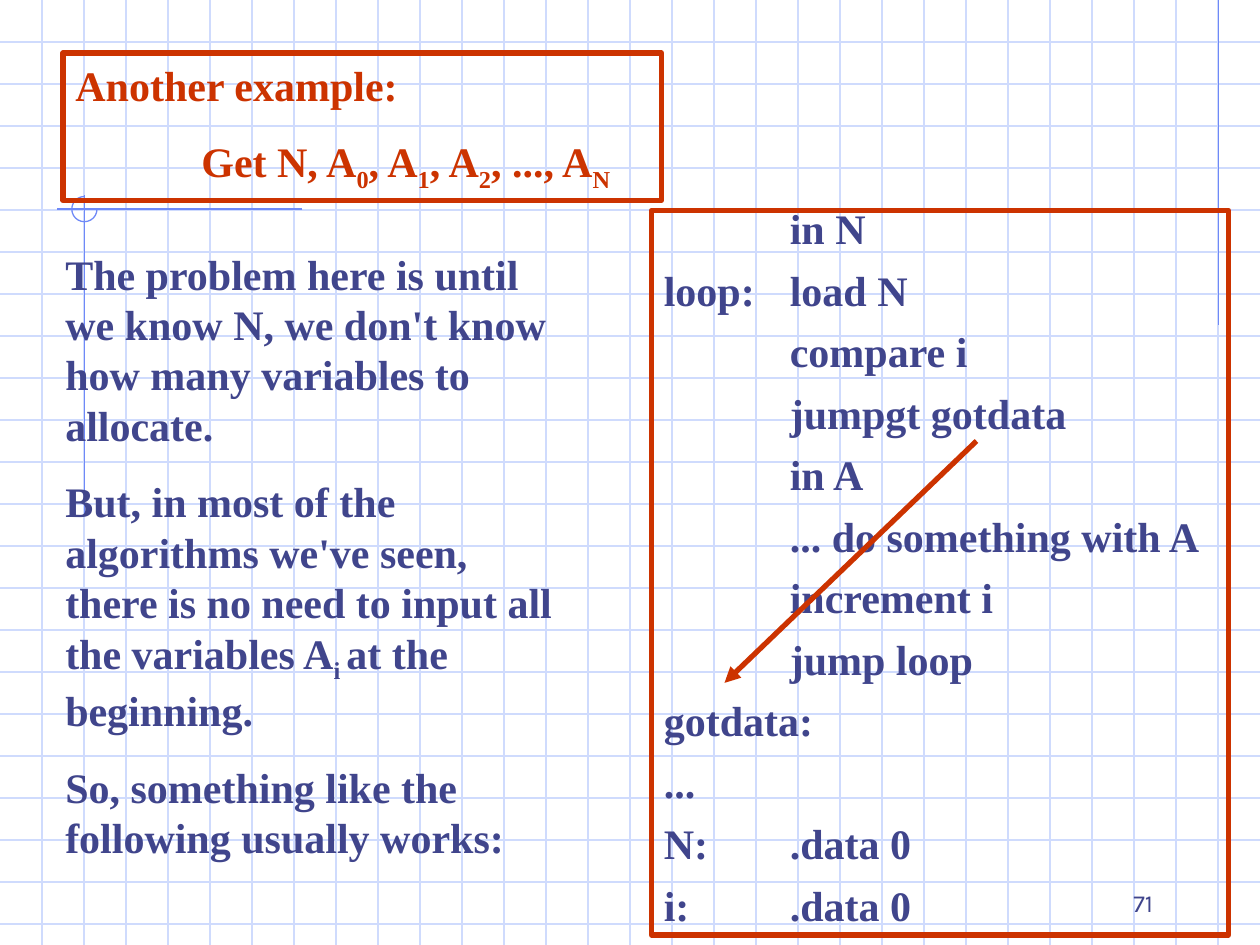
from lxml.etree import SubElement
from pptx import Presentation
from pptx.dml.color import RGBColor
from pptx.enum.shapes import MSO_CONNECTOR, MSO_SHAPE
from pptx.enum.text import MSO_ANCHOR, MSO_AUTO_SIZE, PP_ALIGN
from pptx.oxml.ns import qn
from pptx.util import Inches, Pt

COLORS = {"grid": "CFDBFD", "accent": "6F89F7", "red": "CC3300", "ink": "40458C"}
SERIF = {"name": "Times New Roman", "size": Pt(24), "bold": True}
FRAME = {
    "word_wrap": True,
    "auto_size": MSO_AUTO_SIZE.SHAPE_TO_FIT_TEXT,
    "vertical_anchor": MSO_ANCHOR.TOP,
    "margin_left": Inches(0.1),
    "margin_right": Inches(0.1),
    "margin_top": Inches(0.05),
    "margin_bottom": Inches(0.05),
}
HEADING = [
    ["Another example:"],
    ["\tGet N, A", "0", ", A", "1", ", A", "2", ", ..., A", "N"],
]
EXPLANATION = [
    ["The problem here is until we know N, we don't know how many variables to allocate."],
    ["But, in most of the algorithms we've seen, there is no need to input all the variables A",
     "i ", "at the beginning."],
    ["So, something like the following usually works:"],
]
CODE = [
    "\tin N", "loop:\tload N", "\tcompare i", "\tjumpgt gotdata", "\tin A",
    "\t... do something with A", "\tincrement i", "\tjump loop", "gotdata:",
    "...", "N:\t.data 0", "i:\t.data 0",
]


def rgb(name):
    return RGBColor.from_string(COLORS[name])


def set_all(obj, values):
    for key, value in values.items():
        setattr(obj, key, value)


def add_line(s, x1, y1, x2, y2, color, width=0.75):
    sp = s.shapes.add_connector(
        MSO_CONNECTOR.STRAIGHT, Inches(x1), Inches(y1), Inches(x2), Inches(y2))
    sp.line.color.rgb = rgb(color)
    sp.line.width = Pt(width)
    SubElement(sp._element.spPr, qn("a:effectLst"))
    return sp


def add_tabs(p):
    tabs = SubElement(p._p.get_or_add_pPr(), qn("a:tabLst"))
    for inch in range(1, 8):
        SubElement(tabs, qn("a:tab"), pos=str(Inches(inch)), algn="l")


def fill_text(tf, paragraphs, color, font, frame, para):
    set_all(tf, frame)
    for i, parts in enumerate(paragraphs):
        p = tf.add_paragraph() if i else tf.paragraphs[0]
        add_tabs(p)
        set_all(p, {"alignment": PP_ALIGN.LEFT, "space_before": Pt(15 if i else 0), **para})
        for j, text in enumerate(parts):
            r = p.add_run()
            r.text = text
            set_all(r.font, font)
            r.font.color.rgb = rgb(color)
            if j % 2:
                r._r.get_or_add_rPr().set("baseline", "-25000")


def add_text(s, box, paragraphs, color="ink", font=SERIF, frame=FRAME, para={}):
    sp = s.shapes.add_textbox(*map(Inches, box))
    fill_text(sp.text_frame, paragraphs, color, font, frame, para)


def add_framed_text(s, box, paragraphs, color, para={}):
    sp = s.shapes.add_shape(MSO_SHAPE.RECTANGLE, *map(Inches, box))
    sp.shadow.inherit = False
    sp.fill.background()
    sp.line.color.rgb = rgb("red")
    sp.line.width = Pt(3)
    fill_text(sp.text_frame, paragraphs, color, SERIF, FRAME, para)


def add_grid(s, width, height, per_inch=3):
    for i in range(1, int(height * per_inch) + 1):
        add_line(s, 0, i / per_inch, width, i / per_inch, "grid")
    for i in range(1, width * per_inch):
        add_line(s, i / per_inch, 0, i / per_inch, height, "grid")


def add_crosshair(s, x, y, radius=0.1):
    add_line(s, x + 1.73, y, x - 0.22, y, "accent")
    add_line(s, x, y - 0.11, x, y + 2.43, "accent")
    box = (x - radius, y - radius, 2 * radius, 2 * radius)
    sp = s.shapes.add_shape(MSO_SHAPE.ARC, *map(Inches, box))
    sp.shadow.inherit = False
    sp.fill.background()
    sp.line.color.rgb = rgb("accent")
    sp.line.width = Pt(0.75)
    sp.adjustments[0] = 0
    sp.adjustments[1] = 270 * 0.6


def add_code(s, x, y, width, height):
    add_framed_text(s, (x, y, width, height), [[line] for line in CODE], "ink",
                    {"line_spacing": 0.7})
    sp = add_line(s, x + 2.58, y + 1.83, x + 0.58, y + 3.75, "red", 3)
    SubElement(sp.line._get_or_add_ln(), qn("a:tailEnd"), type="triangle")


def add_page_number(s, box):
    add_text(s, box, [["71"]], font={"name": "Karla", "size": Pt(14)},
             frame={**FRAME, "auto_size": MSO_AUTO_SIZE.NONE,
                    "vertical_anchor": MSO_ANCHOR.BOTTOM},
             para={"alignment": PP_ALIGN.RIGHT})


def main():
    prs = Presentation()
    prs.slide_width, prs.slide_height = Inches(10), Inches(7.5)
    s = prs.slides.add_slide(prs.slide_layouts[6])
    add_grid(s, 10, 7.5)
    add_line(s, 9.67, 0, 9.67, 2.58, "accent")
    add_crosshair(s, 0.67, 1.66)
    add_framed_text(s, (0.5, 0.42, 4.75, 1.17), HEADING, "red")
    add_text(s, (0.42, 1.92, 4.17, 4.97), EXPLANATION)
    add_code(s, 5.17, 1.67, 4.58, 5.75)
    add_page_number(s, (7.17, 6.83, 2.08, 0.5))
    prs.save("out.pptx")


if __name__ == "__main__":
    main()
